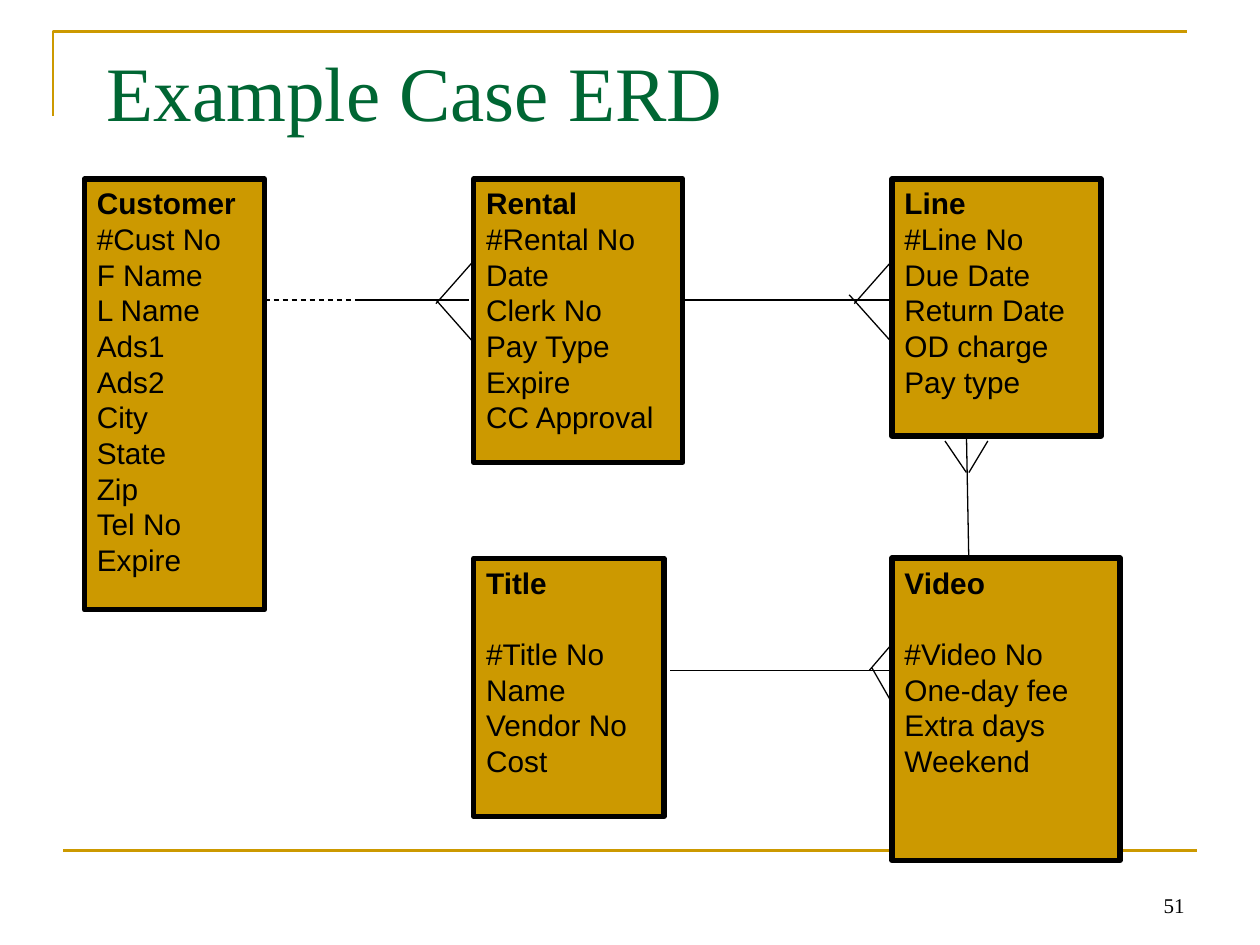
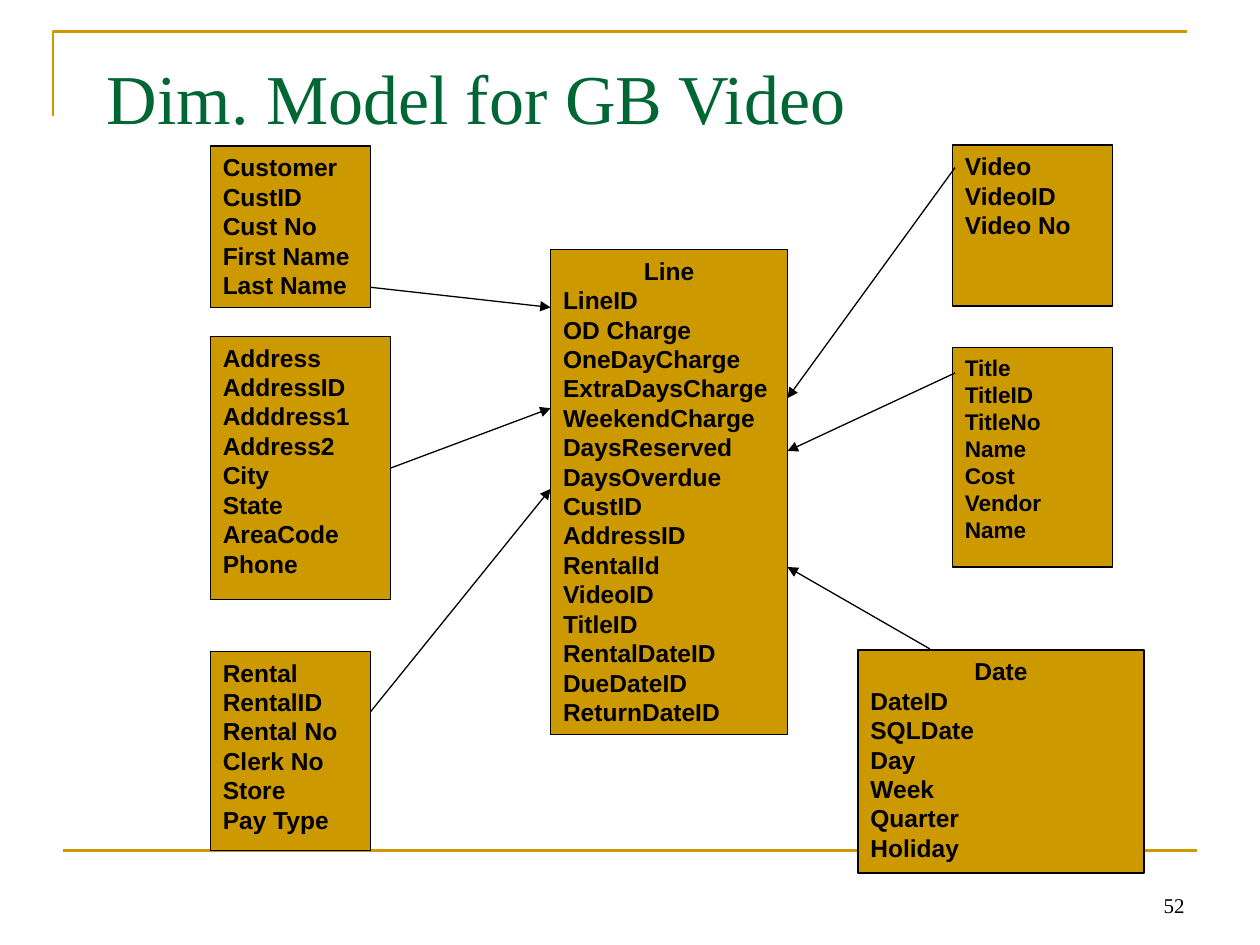
from dataclasses import dataclass
from typing import Optional

from lxml import etree
from pptx import Presentation
from pptx.dml.color import RGBColor
from pptx.enum.dml import MSO_LINE
from pptx.enum.shapes import MSO_CONNECTOR, MSO_SHAPE
from pptx.enum.text import MSO_ANCHOR, PP_ALIGN
from pptx.oxml.ns import qn
from pptx.util import Inches, Pt

RECT = MSO_SHAPE.RECTANGLE
STRAIGHT = MSO_CONNECTOR.STRAIGHT
DASH = MSO_LINE.DASH
TOP, BOTTOM = MSO_ANCHOR.TOP, MSO_ANCHOR.BOTTOM
LEFT, CENTER, RIGHT = PP_ALIGN.LEFT, PP_ALIGN.CENTER, PP_ALIGN.RIGHT
RIGHT_SIDE = 3


@dataclass(frozen=True)
class Theme:
    gold: RGBColor = RGBColor(0xCC, 0x99, 0x00)
    green: RGBColor = RGBColor(0x00, 0x66, 0x33)
    black: RGBColor = RGBColor(0x00, 0x00, 0x00)
    serif: str = "Times New Roman"
    sans: str = "Arial"
    entity_size: float = 17
    dimension_size: float = 14
    small_size: float = 12.9
    number_size: float = 12
    leading: float = 1.2
    rule: float = 1.5
    thin: float = 0.75
    thick: float = 3


THEME = Theme()


@dataclass(frozen=True)
class Box:
    """A table of the data model: its name, then its fields."""
    left: float
    top: float
    width: float
    height: float
    name: str
    fields: list[str]
    size: float = THEME.dimension_size
    border: float = THEME.thin
    bold_fields: bool = True
    name_align: PP_ALIGN = LEFT
    gap_after_name: bool = False


@dataclass(frozen=True)
class Link:
    x1: float
    y1: float
    x2: float
    y2: float
    dashed: bool = False
    arrow: bool = False
    start: Optional[str] = None  # box whose right side the link leaves


def entity(left, top, width, height, name, fields, gap=False) -> Box:
    return Box(left, top, width, height, name, fields, THEME.entity_size,
               THEME.thick, bold_fields=False, gap_after_name=gap)


def arrow(x1, y1, x2, y2, start=None) -> Link:
    return Link(x1, y1, x2, y2, arrow=True, start=start)


# Slide 1: entities and relationships
ENTITIES = [
    entity(0.67, 1.42, 1.43, 3.42, "Customer",
           ["#Cust No", "F Name", "L Name", "Ads1", "Ads2", "City", "State",
            "Zip", "Tel No", "Expire"]),
    entity(3.76, 1.42, 1.66, 2.25, "Rental",
           ["#Rental No", "Date", "Clerk No", "Pay Type", "Expire",
            "CC Approval"]),
    entity(7.08, 1.42, 1.66, 2.04, "Line",
           ["#Line No", "Due Date", "Return Date", "OD charge", "Pay type"]),
    entity(7.08, 4.43, 1.81, 2.4, "Video",
           ["#Video No", "One-day fee", "Extra days", "Weekend"], gap=True),
    entity(3.76, 4.43, 1.51, 2.05, "Title",
           ["#Title No", "Name", "Vendor No", "Cost"], gap=True),
]
RELATIONSHIPS = [
    # Customer to Rental
    Link(2.1, 2.38, 2.86, 2.38, dashed=True),
    Link(2.82, 2.38, 3.72, 2.38),
    Link(3.46, 2.41, 3.76, 2.07),
    Link(3.46, 2.38, 3.76, 2.72),
    # Rental to Line
    Link(5.42, 2.38, 7.08, 2.38),
    Link(6.78, 2.41, 7.08, 2.07),
    Link(6.74, 2.34, 7.08, 2.72),
    # Line to Video
    Link(7.67, 3.42, 7.69, 4.49),
    Link(7.67, 3.75, 7.5, 3.5),
    Link(7.69, 3.75, 7.84, 3.5),
    # Title to Video
    Link(5.32, 5.32, 7.13, 5.32),
    Link(6.9, 5.32, 7.08, 5.11),
    Link(6.92, 5.3, 7.08, 5.58),
]

# Slide 2: fact table and its dimensions
DIMENSIONS = [
    Box(1.67, 1.16, 1.27, 1.28, "Customer",
        ["CustID", "Cust No", "First Name", "Last Name"]),
    Box(1.67, 2.67, 1.43, 2.09, "Address",
        ["AddressID", "Adddress1", "Address2", "City", "State", "AreaCode",
         "Phone"]),
    Box(1.67, 5.17, 1.27, 1.58, "Rental",
        ["RentalID", "Rental No", "Clerk No", "Store", "Pay Type"]),
    Box(4.37, 1.98, 1.88, 3.85, "Line",
        ["LineID", "OD Charge", "OneDayCharge", "ExtraDaysCharge",
         "WeekendCharge", "DaysReserved", "DaysOverdue", "CustID",
         "AddressID", "RentalId", "VideoID", "TitleID", "RentalDateID",
         "DueDateID", "ReturnDateID"], name_align=CENTER),
    Box(7.56, 1.15, 1.27, 1.28, "Video", ["VideoID", "Video No"]),
    Box(7.56, 2.76, 1.27, 1.74, "Title",
        ["TitleID", "TitleNo", "Name", "Cost", "Vendor Name"],
        size=THEME.small_size),
    Box(6.81, 5.16, 2.27, 1.77, "Date",
        ["DateID", "SQLDate", "Day", "Week", "Quarter", "Holiday"],
        name_align=CENTER),
]
FACT_LINKS = [
    arrow(2.94, 2.28, 4.37, 2.44),
    arrow(3.1, 3.72, 4.37, 3.24, start="Address"),
    arrow(2.94, 5.65, 4.37, 3.88),
    arrow(7.58, 1.33, 6.25, 3.16),
    arrow(7.58, 2.96, 6.25, 3.58),
    arrow(7.38, 5.15, 6.25, 4.5),
]


def style_font(p, name: str, size: float, color: RGBColor,
               bold: bool = False) -> None:
    p.font.name, p.font.size, p.font.bold = name, Pt(size), bold
    p.font.color.rgb = color


def set_insets(tf, top: float = 0.05) -> None:
    tf.word_wrap = True
    tf.margin_left = tf.margin_right = Inches(0.1)
    tf.margin_top, tf.margin_bottom = Inches(top), Inches(0.05)


def add_line(slide, link: Link, color: RGBColor = THEME.black,
             width: float = THEME.thin):
    c = slide.shapes.add_connector(
        STRAIGHT, *map(Inches, (link.x1, link.y1, link.x2, link.y2)))
    c.line.color.rgb = color
    c.line.width = Pt(width)
    if link.dashed:
        c.line.dash_style = DASH
    if link.arrow:
        etree.SubElement(c.line._get_or_add_ln(), qn("a:tailEnd"),
                         type="triangle")
    etree.SubElement(c._element.spPr, qn("a:effectLst"))
    return c


def add_text(slide, text: str, at: tuple, size: float, color: RGBColor,
             align: PP_ALIGN = LEFT, anchor: MSO_ANCHOR = TOP,
             inset_top: float = 0.05) -> None:
    tf = slide.shapes.add_textbox(*map(Inches, at)).text_frame
    set_insets(tf, inset_top)
    tf.vertical_anchor = anchor
    p = tf.paragraphs[0]
    p.text, p.alignment = text, align
    style_font(p, THEME.serif, size, color)


def add_box(slide, box: Box):
    sp = slide.shapes.add_shape(
        RECT, *map(Inches, (box.left, box.top, box.width, box.height)))
    sp.shadow.inherit = False
    sp.fill.solid()
    sp.fill.fore_color.rgb = THEME.gold
    sp.line.color.rgb = THEME.black
    sp.line.width = Pt(box.border)
    tf = sp.text_frame
    set_insets(tf)
    tf.vertical_anchor = TOP
    row_height = Pt(box.size * THEME.leading)
    for i, text in enumerate([box.name, *box.fields]):
        is_name = i == 0
        p = tf.paragraphs[0] if is_name else tf.add_paragraph()
        p.text = text
        p.alignment = box.name_align if is_name else LEFT
        p.line_spacing = row_height
        if is_name and box.gap_after_name:
            p.space_after = row_height
        style_font(p, THEME.sans, box.size, THEME.black,
                   is_name or box.bold_fields)
    return sp


def add_boxes(slide, boxes: list[Box]) -> dict:
    return {box.name: add_box(slide, box) for box in boxes}


def add_links(slide, links: list[Link], shapes: Optional[dict] = None) -> None:
    for link in links:
        c = add_line(slide, link)
        if link.start and shapes:
            c.begin_connect(shapes[link.start], RIGHT_SIDE)


def add_base_slide(prs, title: str, title_top: float, title_height: float,
                   title_size: float, number: int):
    """Blank slide with the corner rule, bottom rule, title and number."""
    slide = prs.slides.add_slide(prs.slide_layouts[6])
    builder = slide.shapes.build_freeform(Inches(0.42), Inches(0.92))
    builder.add_line_segments(
        [(Inches(0.42), Inches(0.25)), (Inches(9.42), Inches(0.25))],
        close=False)
    corner = builder.convert_to_shape()
    corner.shadow.inherit = False
    corner.fill.background()
    corner.line.color.rgb = THEME.gold
    corner.line.width = Pt(THEME.rule)
    add_line(slide, Link(0.5, 6.75, 9.5, 6.75), THEME.gold, THEME.rule)
    add_text(slide, title, (0.75, title_top, 8.5, title_height), title_size,
             THEME.green, inset_top=0.1)
    add_text(slide, str(number), (7.17, 6.83, 2.33, 0.5), THEME.number_size,
             THEME.black, RIGHT, BOTTOM)
    return slide


def main() -> None:
    prs = Presentation()
    prs.slide_width, prs.slide_height = Inches(10), Inches(7.5)

    # Relationship lines run under the entities
    slide = add_base_slide(prs, "Example Case ERD", 0.25, 1.25, 44, 51)
    add_links(slide, RELATIONSHIPS)
    add_boxes(slide, ENTITIES)

    # Arrows lie over the dimension boxes
    slide = add_base_slide(prs, "Dim. Model for GB Video", 0.33, 0.84, 40, 52)
    add_links(slide, FACT_LINKS, add_boxes(slide, DIMENSIONS))

    prs.save("out.pptx")


if __name__ == "__main__":
    main()
